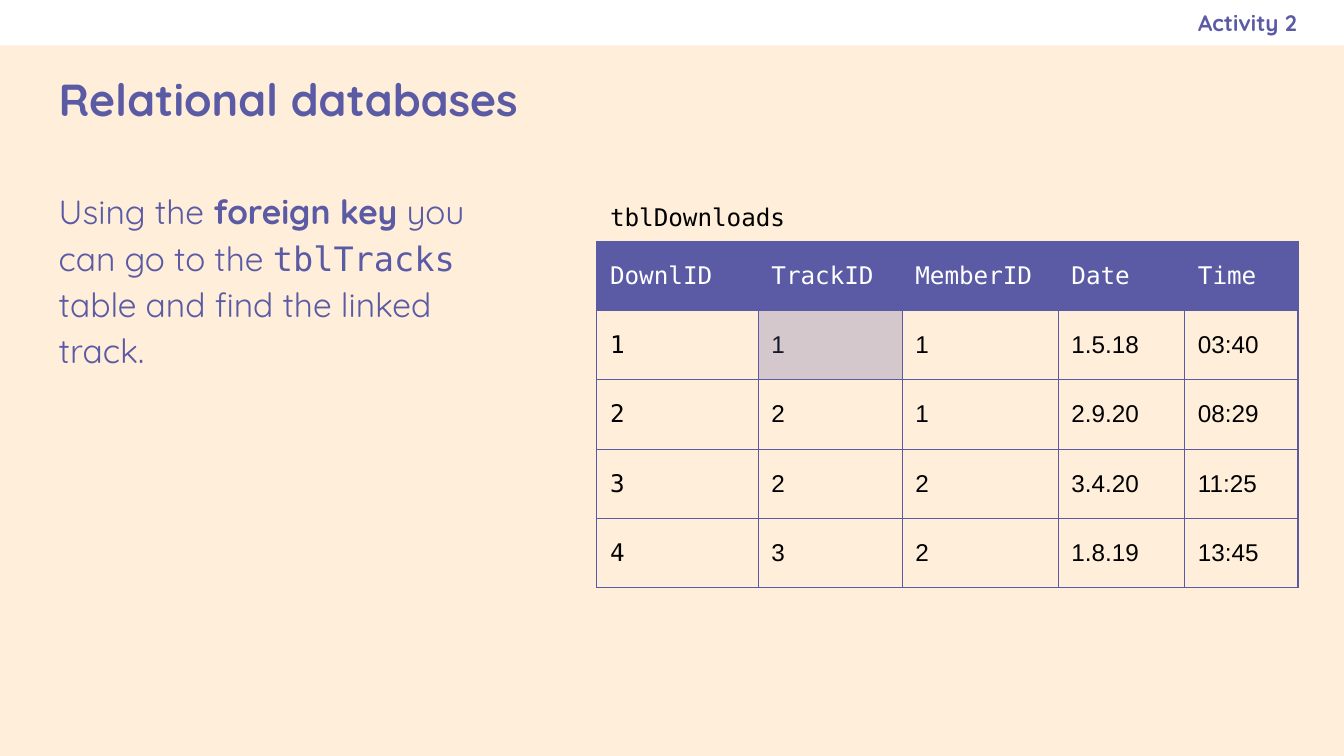
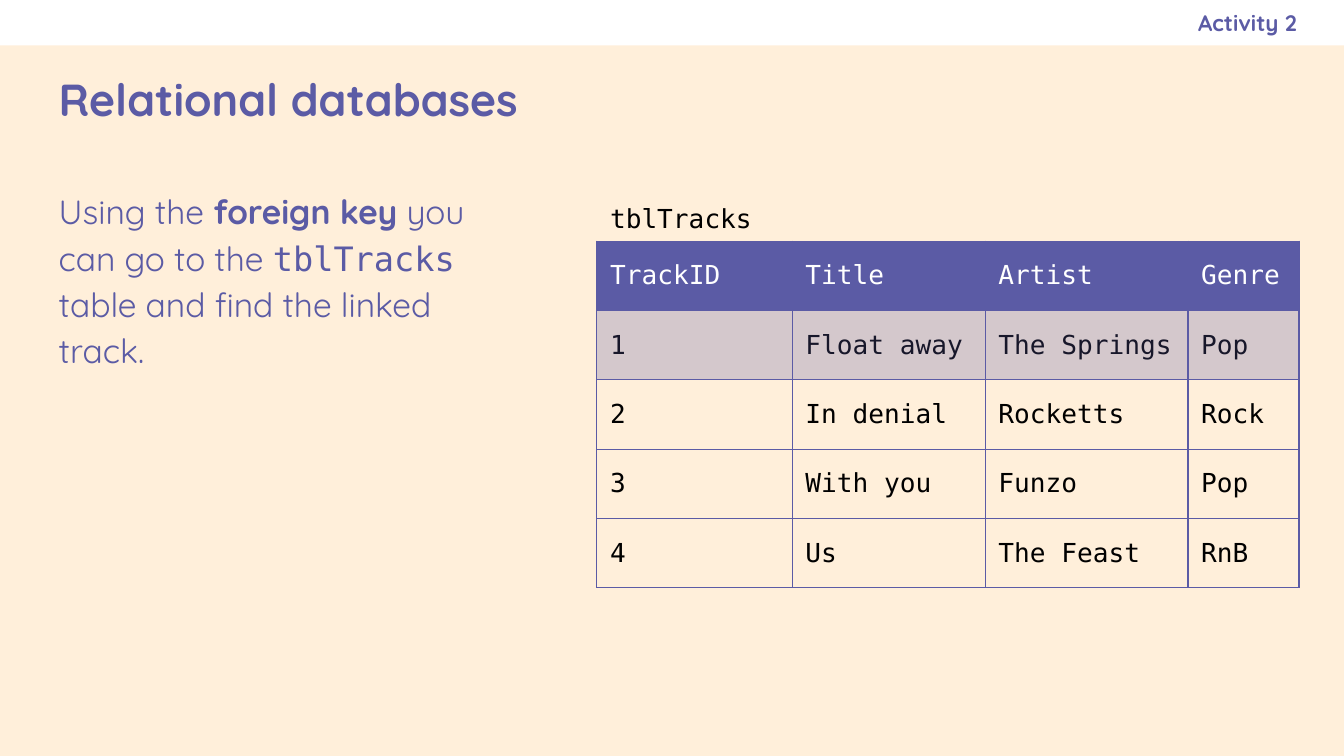
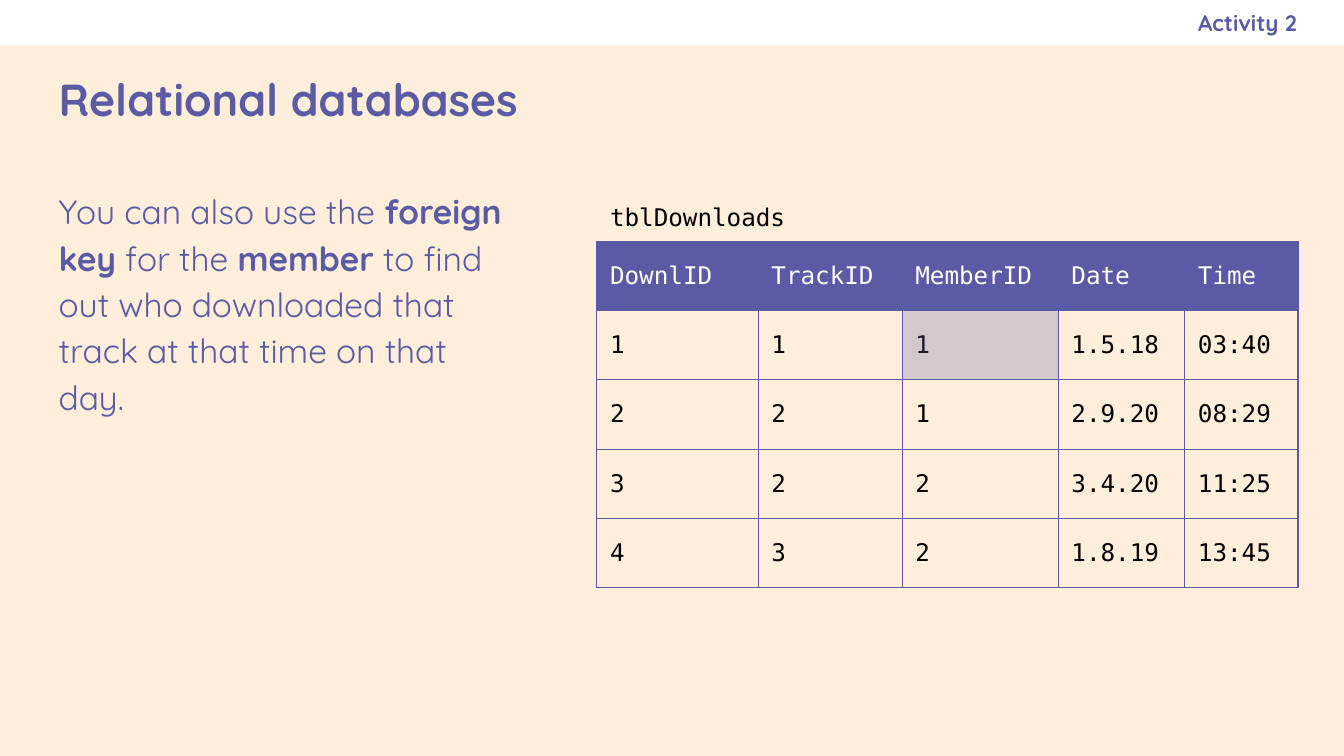
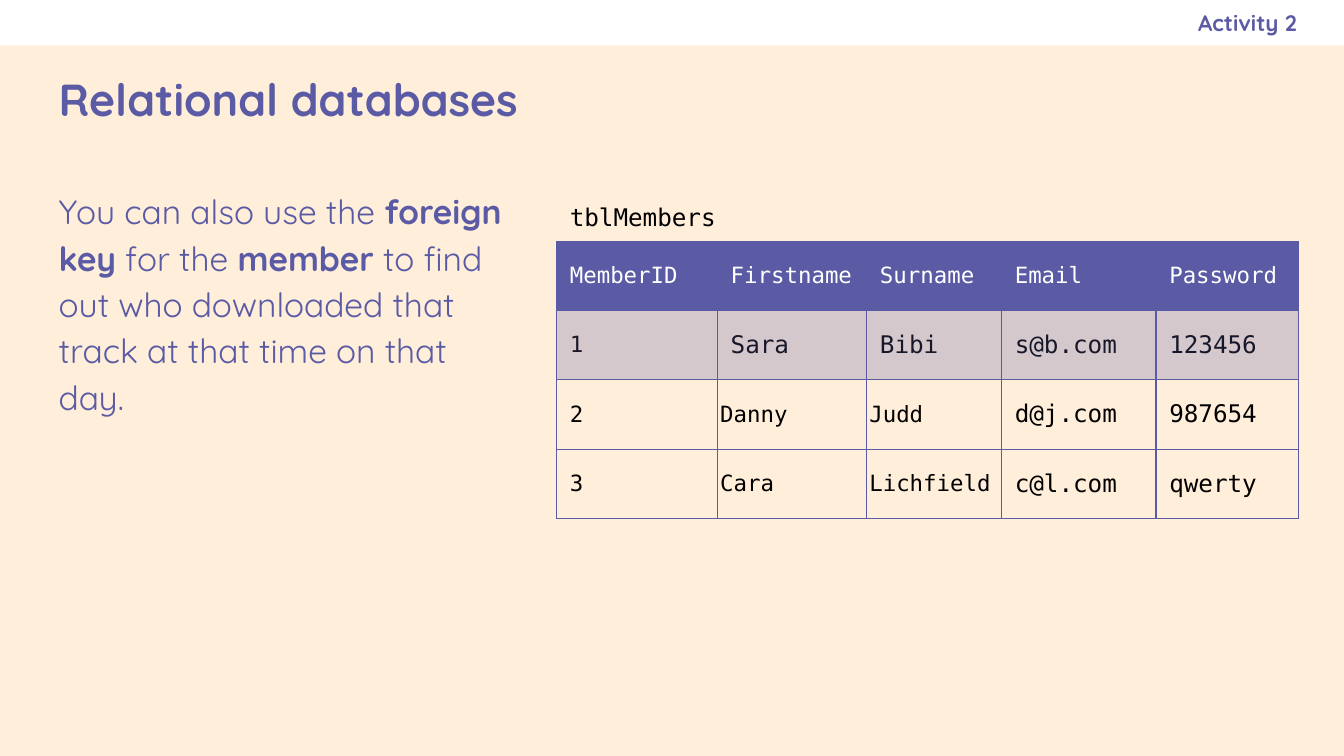
from dataclasses import dataclass, field

from lxml import etree
from pptx import Presentation
from pptx import util as u
from pptx.dml.color import RGBColor
from pptx.enum import shapes, text
from pptx.oxml.ns import qn

COLORS = {"purple": "5B5BA5", "cream": "FFEFDA", "white": "FFFFFF", "black": "000000"}
SANS, MONO, PLAIN = "Quicksand", "DejaVu Sans Mono", "Arial"
SLIDE_WIDTH, SLIDE_HEIGHT = 25.4, 14.29
BAND_HEIGHT = 0.86
MARGIN = 0.86
INSET = 0.25
TABLE_TOP = 4.56
ROW_HEIGHT = 1.31
CAPTION_HEIGHT = 0.99

TRACK_TEXT = [("Using the ", {}), ("foreign key", {"bold": True}), (" you can go to the ", {}),
              ("tblTracks", {"name": MONO}), (" table and find the linked track.", {})]
MEMBER_TEXT = [("You can also use the ", {}), ("foreign key", {"bold": True}),
               (" for the ", {}), ("member", {"bold": True}),
               (" to find out who downloaded that track at that time on that day.", {})]


@dataclass
class DataTable:
    """A database table; cell_styles maps (row, column) to changes from the usual style."""
    name: str
    left: float
    widths: list
    rows: list
    size: int = 13
    cell_styles: dict = field(default_factory=dict)


DOWNLOAD_WIDTHS = [3.05, 2.72, 2.95, 2.39, 2.14]
DOWNLOAD_ROWS = [
    ["DownlID", "TrackID", "MemberID", "Date", "Time"],
    ["1", "1", "1", "1.5.18", "03:40"],
    ["2", "2", "1", "2.9.20", "08:29"],
    ["3", "2", "2", "3.4.20", "11:25"],
    ["4", "3", "2", "1.8.19", "13:45"],
]
DOWNLOADS = DataTable("tblDownloads", 11.28, DOWNLOAD_WIDTHS, DOWNLOAD_ROWS)
DOWNLOADS_PLAIN = DataTable(
    "tblDownloads", 11.28, DOWNLOAD_WIDTHS, DOWNLOAD_ROWS,
    cell_styles={(row, column): {"name": PLAIN} for row in range(1, 5) for column in range(1, 5)})
TRACKS = DataTable("tblTracks", 11.28, [3.69, 3.65, 3.83, 2.1], [
    ["TrackID", "Title", "Artist", "Genre"],
    ["1", "Float away", "The Springs", "Pop"],
    ["2", "In denial", "Rocketts", "Rock"],
    ["3", "With you", "Funzo", "Pop"],
    ["4", "Us", "The Feast", "RnB"],
], size=14)
MEMBERS = DataTable("tblMembers", 10.52, [3.04, 2.82, 2.55, 2.92, 2.69], [
    ["MemberID", "Firstname", "Surname", "Email", "Password"],
    ["1", "Sara", "Bibi", "s@b.com", "123456"],
    ["2", "Danny", "Judd", "d@j.com", "987654"],
    ["3", "Cara", "Lichfield", "c@l.com", "qwerty"],
], cell_styles={
    **{(0, column): {"size": 12} for column in range(5)},
    **{(row, 0): {"size": 12} for row in range(1, 4)},
    **{(row, column): {"size": 12, "inset": (0.05, 0.15)} for row in (2, 3) for column in (1, 2)},
})


def rgb(color):
    return RGBColor.from_string(COLORS[color])


def set_font(font, name, size, color, bold=False):
    font.name = name
    font.size = u.Pt(size)
    font.bold = bold
    font.color.rgb = rgb(color)


def add_text(slide, left, top, width, height, runs, size, color="purple", name=SANS, bold=False,
             anchor=text.MSO_ANCHOR.TOP, align=text.PP_ALIGN.LEFT, right_inset=INSET, spacing=None):
    """Add a one-paragraph text box; runs are (text, font changes) pairs."""
    shape = slide.shapes.add_textbox(u.Cm(left), u.Cm(top), u.Cm(width), u.Cm(height))
    frame = shape.text_frame
    frame.word_wrap = True
    frame.vertical_anchor = anchor
    frame.margin_left = frame.margin_top = frame.margin_bottom = u.Cm(INSET)
    frame.margin_right = u.Cm(right_inset)
    paragraph = frame.paragraphs[0]
    paragraph.alignment = align
    paragraph.line_spacing = spacing
    set_font(paragraph.font, name, size, color, bold)
    for words, changes in runs:
        run = paragraph.add_run()
        run.text = words
        for attribute, value in changes.items():
            setattr(run.font, attribute, value)


def add_rectangle(slide, left, top, width, height, color, alpha=None):
    shape = slide.shapes.add_shape(shapes.MSO_SHAPE.RECTANGLE, u.Cm(left), u.Cm(top),
                                   u.Cm(width), u.Cm(height))
    shape.shadow.inherit = False
    shape.line.fill.background()
    shape.fill.solid()
    shape.fill.fore_color.rgb = rgb(color)
    if alpha is not None:
        color_element = shape.fill._xPr.find(".//" + qn("a:srgbClr"))
        etree.SubElement(color_element, qn("a:alpha"), val=str(alpha * 1000))


def add_borders(cell):
    properties = cell._tc.get_or_add_tcPr()
    for side in ("lnL", "lnR", "lnT", "lnB"):
        line = etree.SubElement(properties, qn("a:" + side), w=str(u.Pt(0.75)))
        fill = etree.SubElement(line, qn("a:solidFill"))
        etree.SubElement(fill, qn("a:srgbClr"), val=COLORS["purple"])


def fill_cell(cell, words, is_header, size, name=MONO, inset=(INSET, INSET)):
    add_borders(cell)
    if is_header:
        cell.fill.solid()
        cell.fill.fore_color.rgb = rgb("purple")
    else:
        cell.fill.background()
    cell.vertical_anchor = text.MSO_ANCHOR.MIDDLE
    cell.margin_left = cell.margin_right = u.Cm(inset[0])
    cell.margin_top = cell.margin_bottom = u.Cm(inset[1])
    cell.text = words
    set_font(cell.text_frame.paragraphs[0].font, name, size, "white" if is_header else "black")


def add_data_table(slide, data):
    add_text(slide, data.left, TABLE_TOP - CAPTION_HEIGHT, 6.73, CAPTION_HEIGHT,
             [(data.name, {})], data.size, "black", MONO)
    frame = slide.shapes.add_table(
        len(data.rows), len(data.widths), u.Cm(data.left), u.Cm(TABLE_TOP),
        u.Cm(sum(data.widths)), u.Cm(ROW_HEIGHT * len(data.rows)))
    table = frame.table
    table.first_row = table.horz_banding = False
    for column, width in zip(table.columns, data.widths):
        column.width = u.Cm(width)
    for row_index, values in enumerate(data.rows):
        table.rows[row_index].height = u.Cm(ROW_HEIGHT)
        for column_index, value in enumerate(values):
            style = {"size": data.size, **data.cell_styles.get((row_index, column_index), {})}
            fill_cell(table.cell(row_index, column_index), value, row_index == 0, **style)


def highlight_first_record(slide, data, first, last):
    """Tint the first record from column first to column last."""
    add_rectangle(slide, data.left + sum(data.widths[:first]), TABLE_TOP + ROW_HEIGHT,
                  sum(data.widths[first:last + 1]), ROW_HEIGHT, "purple", alpha=26)


def add_frame(slide):
    """Add the band, title and activity label that every slide has."""
    add_rectangle(slide, 0, 0, SLIDE_WIDTH, BAND_HEIGHT, "white")
    add_text(slide, MARGIN, 0.89, 23.67, 1.93, [("Relational databases", {})], 24, bold=True,
             anchor=text.MSO_ANCHOR.MIDDLE)
    add_text(slide, 14.6, 0, 9.91, BAND_HEIGHT, [("Activity 2", {})], 12, bold=True,
             anchor=text.MSO_ANCHOR.MIDDLE, align=text.PP_ALIGN.RIGHT, right_inset=0)


def add_table_slide(presentation, explanation, data, first, last):
    slide = presentation.slides.add_slide(presentation.slide_layouts[6])
    add_frame(slide)
    add_text(slide, MARGIN, 3.25, 9.07, 10.16, explanation, 18, spacing=1.15)
    add_data_table(slide, data)
    highlight_first_record(slide, data, first, last)


def main():
    presentation = Presentation()
    presentation.slide_width = u.Cm(SLIDE_WIDTH)
    presentation.slide_height = u.Cm(SLIDE_HEIGHT)
    background = presentation.slide_master.background.fill
    background.solid()
    background.fore_color.rgb = rgb("cream")

    add_table_slide(presentation, TRACK_TEXT, DOWNLOADS_PLAIN, 1, 1)
    add_table_slide(presentation, TRACK_TEXT, TRACKS, 0, 3)
    add_table_slide(presentation, MEMBER_TEXT, DOWNLOADS, 2, 2)
    add_table_slide(presentation, MEMBER_TEXT, MEMBERS, 0, 4)
    presentation.save("out.pptx")


if __name__ == "__main__":
    main()
